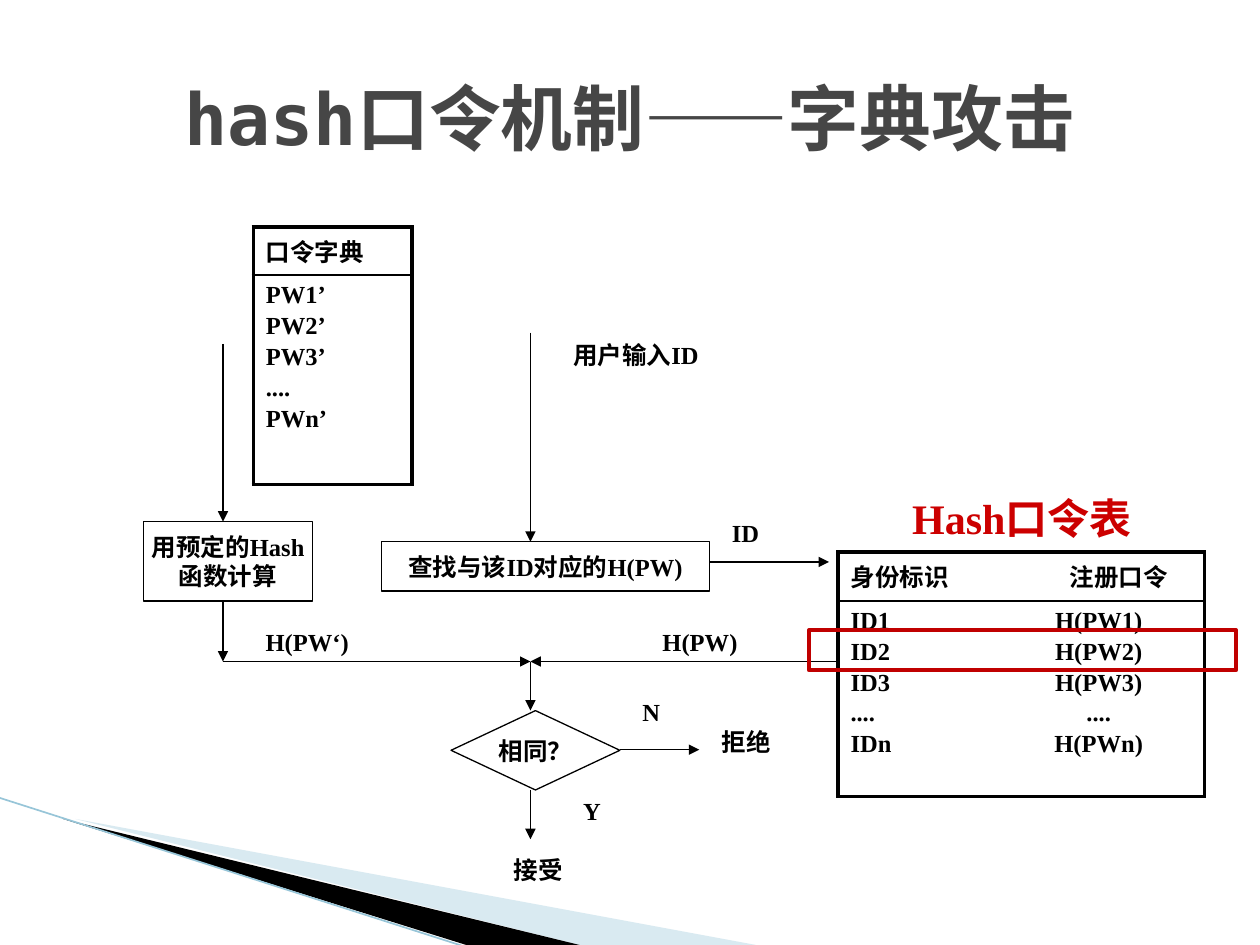
"""Build the slide on a dictionary attack against hashed passwords, on a grid of 100 columns by 75 rows."""
import pptx
import pptx.util
import pptx.dml.color
import pptx.enum.dml
import pptx.enum.shapes
import pptx.enum.text
import pptx.oxml.ns
import lxml.etree

qn = pptx.oxml.ns.qn
SHAPE = pptx.enum.shapes.MSO_SHAPE
ALIGN = pptx.enum.text.PP_ALIGN
MIDDLE = pptx.enum.text.MSO_ANCHOR.MIDDLE


def paint(fill, color):
    fill.solid()
    fill.fore_color.rgb = pptx.dml.color.RGBColor.from_string(color)


def write(tf, text, size=14, font="Times New Roman", color="000000", align=ALIGN.LEFT, gap=0, tab=None):
    for i, line in enumerate(text.split("\n")):
        p = tf.paragraphs[0] if i == 0 else tf.add_paragraph()
        p.alignment = align
        if i and gap:
            p.space_before = pptx.util.Pt(gap)
        if tab:
            tabs = lxml.etree.SubElement(p._p.get_or_add_pPr(), qn("a:tabLst"))
            lxml.etree.SubElement(tabs, qn("a:tab"), pos=str(int(tab * g)), algn="ctr")
        r = p.add_run()
        r.text = line
        r.font.name, r.font.size, r.font.bold = font, pptx.util.Pt(size), True
        paint(r.font.fill, color)


prs = pptx.Presentation()
prs.slide_width, prs.slide_height = pptx.util.Inches(10), pptx.util.Inches(7.5)
g = prs.slide_width // 100
s = prs.slides.add_slide(prs.slide_layouts[6])

wedges = [
    ("A0CBDC", 40, [(5.5, 65.1), (59.5, 75.1), (45.6, 75.1), (5.5, 65)]),
    ("000000", 100, [(5.3, 64.9), (45.7, 75.1), (37.2, 75.2), (5.4, 65)]),
]
for color, alpha, points in wedges:
    fb = s.shapes.build_freeform(*points[0], scale=g)
    fb.add_line_segments(points[1:])
    sp = fb.convert_to_shape()
    sp.shadow.inherit = False
    paint(sp.fill, color)
    sp.line.fill.background()
    clr = next(sp._element.spPr.iter(qn("a:srgbClr")))
    lxml.etree.SubElement(clr, qn("a:alpha"), val=str(alpha * 1000))

tables = [
    (66.5, 43.8, 29.1, (3.9, 15.5), (21.3, 19.7), "身份标识\t注册口令",
     "ID1\tH(PW1)\nID2\tH(PW2)\nID3\tH(PW3)\n....\t....\nIDn\tH(PWn)"),
    (20.1, 18, 12.6, (3.3, 16.6), (None, None), "口令字典", "PW1’\nPW2’\nPW3’\n....\nPWn’"),
]
for x, y, w, heights, tabs, *texts in tables:
    tbl = s.shapes.add_table(2, 1, *(int(v * g) for v in (x, y, w, sum(heights)))).table
    tbl.first_row = tbl.horz_banding = False
    for i, text in enumerate(texts):
        tbl.rows[i].height = int(heights[i] * g)
        cell = tbl.cell(i, 0)
        write(cell.text_frame, text, gap=2.2, tab=tabs[i])
        inner = "B" if i == 0 else "T"
        for side in "LRTB":
            width = pptx.util.Pt(1 if side == inner else 2.25)
            ln = lxml.etree.SubElement(cell._tc.get_or_add_tcPr(), qn("a:ln" + side), w=str(width))
            fill = lxml.etree.SubElement(ln, qn("a:solidFill"))
            lxml.etree.SubElement(fill, qn("a:srgbClr"), val="000000")
        cell.fill.background()

left, mid, join = 17.7, 42.1, 52.5
lines = [
    (-0.1, 63.3, 37.1, 75.2, "97C5D8"),
    (left, 27.3, left, 41.4, "000000"),
    (left, 47.7, left, join, "000000"),
    (left, join, mid, join, "000000"),
    (66.5, join, mid, join, "000000"),
    (mid, 26.4, mid, 43, "000000"),
    (mid, join, mid, 56.4, "000000"),
    (mid, 62.7, mid, 66.6, "000000"),
    (49.2, 59.5, 55.5, 59.5, "000000"),
    (56.3, 44.6, 65.8, 44.6, "000000"),
]
for *ends, color in lines:
    cn = s.shapes.add_connector(pptx.enum.shapes.MSO_CONNECTOR.STRAIGHT, *(int(v * g) for v in ends))
    arrow = color == "000000"
    cn.line.width = pptx.util.Pt(0.75 if arrow else 0.95)
    paint(cn.line.fill, color)
    if arrow:
        lxml.etree.SubElement(cn.line._get_or_add_ln(), qn("a:tailEnd"), type="triangle")
    lxml.etree.SubElement(cn._element.spPr, qn("a:effectLst"))

shapes = [
    (SHAPE.FLOWCHART_DECISION, 35.8, 56.4, 13.4, 6.3, "相同？"),
    (SHAPE.RECTANGLE, 11.4, 41.4, 13.4, 6.3, "用预定的Hash\n函数计算"),
    (SHAPE.RECTANGLE, 30.3, 43, 26, 3.9, "查找与该ID对应的H(PW)"),
    (SHAPE.RECTANGLE, 64.2, 50, 33.9, 3.2, None),
]
for kind, *box, text in shapes:
    sp = s.shapes.add_shape(kind, *(int(v * g) for v in box))
    sp.shadow.inherit = False
    sp.line.width = pptx.util.Pt(0.75 if text else 2.25)
    paint(sp.line.fill, "000000" if text else "C00000")
    if text:
        paint(sp.fill, "FFFFFF")
        sp.text_frame.word_wrap = False
        sp.text_frame.vertical_anchor = MIDDLE
        write(sp.text_frame, text, align=ALIGN.CENTER)
    else:
        sp.fill.background()

title = dict(size=41, font="DejaVu Sans Mono", color="464646", align=ALIGN.CENTER)
labels = [
    (5, 3, 90, 12.5, "hash口令机制——字典攻击", title),
    (67.3, 38.6, 27.6, 5, "Hash口令表", dict(size=24, color="CC0000", align=ALIGN.CENTER)),
    (39.8, 67.4, 7.1, 3.3, "接受", {}),
    (56.3, 57.2, 7.9, 3.3, "拒绝", {}),
    (50, 54.8, 7.9, 3.3, "N", {}),
    (45.3, 62.7, 7.9, 3.3, "Y", {}),
    (20.1, 49.3, 12.6, 3.3, "H(PW‘)", {}),
    (51.6, 49.3, 12.6, 3.3, "H(PW)", {}),
    (44.5, 26.5, 22.1, 3.3, "用户输入ID", {}),
    (57.1, 40.6, 5.5, 3.3, "ID", {}),
]
for *box, text, fmt in labels:
    tf = s.shapes.add_textbox(*(int(v * g) for v in box)).text_frame
    tf.word_wrap = True
    if fmt is title:
        tf.vertical_anchor = MIDDLE
    write(tf, text, **fmt)

prs.save("out.pptx")
